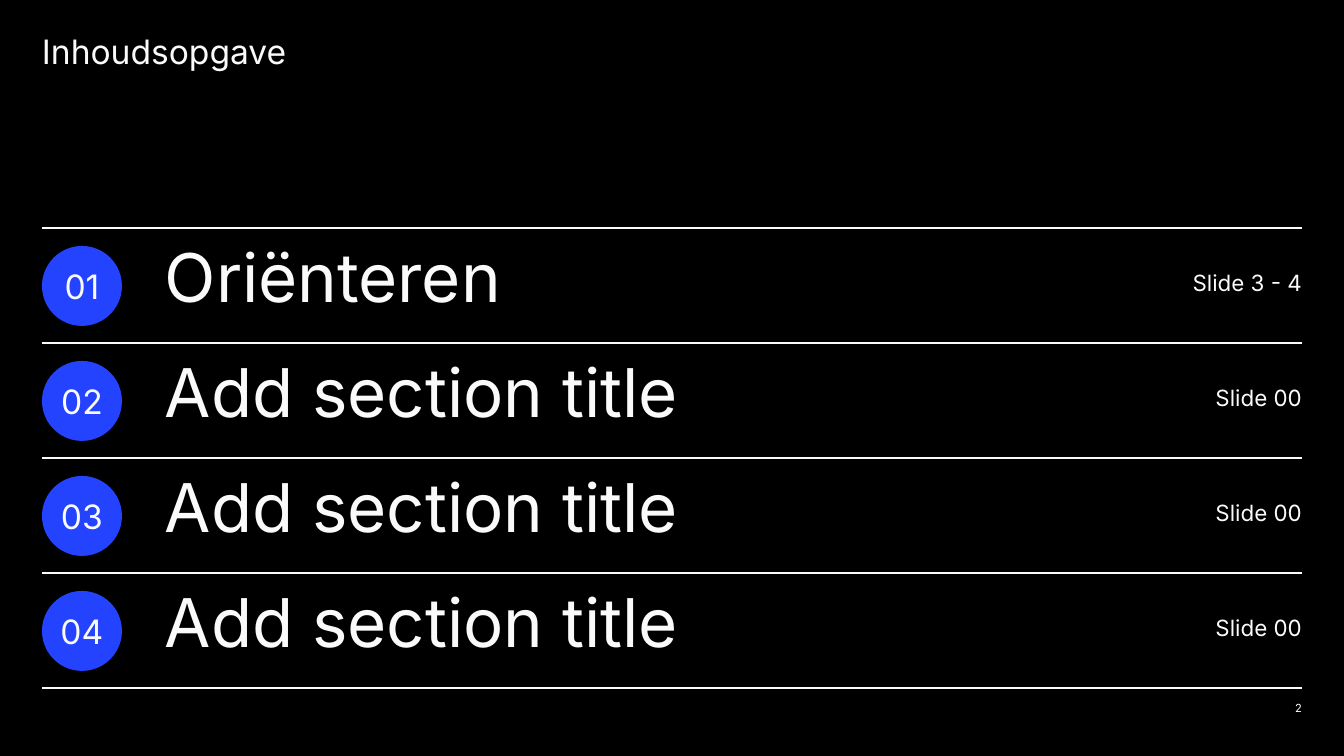
from lxml import etree
from pptx import Presentation, util as u
from pptx.dml.color import RGBColor
from pptx.enum import shapes, text
from pptx.oxml.ns import qn

PX = 9144000 / 1344
COLORS = {"background": "000000", "accent": "2443FF", "light": "FAFAFA"}
LEFT, RIGHT = 42, 1302
FIRST_RULE, ROW_HEIGHT = 228, 115
CIRCLE = 80

SECTIONS = [
    ("Oriënteren", "Slide 3 - 4"),
    ("Add section title", "Slide 00"),
    ("Add section title", "Slide 00"),
    ("Add section title", "Slide 00"),
]


def px(*lengths):
    return [u.Emu(round(length * PX)) for length in lengths]


def write(shape, words, size, align=text.PP_ALIGN.LEFT,
          anchor=text.MSO_ANCHOR.MIDDLE, spacing=None):
    """Fill a shape with one line of light text and no insets."""
    frame = shape.text_frame
    frame.word_wrap = True
    frame.vertical_anchor = anchor
    frame.margin_left = frame.margin_right = 0
    frame.margin_top = frame.margin_bottom = 0
    paragraph = frame.paragraphs[0]
    paragraph.text = words
    paragraph.alignment = align
    paragraph.line_spacing = spacing
    paragraph.font.name = "Inter"
    paragraph.font.size = u.Pt(size)
    paragraph.font.color.rgb = RGBColor.from_string(COLORS["light"])


deck = Presentation()
deck.slide_width, deck.slide_height = px(1344, 756)
slide = deck.slides.add_slide(deck.slide_layouts[6])
slide.background.fill.solid()
slide.background.fill.fore_color.rgb = RGBColor.from_string(COLORS["background"])

heading = slide.shapes.add_textbox(*px(LEFT, 42, 621, 28))
write(heading, "Inhoudsopgave", 18, anchor=text.MSO_ANCHOR.TOP, spacing=0.7)

for index in range(len(SECTIONS) + 1):
    y = FIRST_RULE + index * ROW_HEIGHT
    rule = slide.shapes.add_connector(
        shapes.MSO_CONNECTOR.STRAIGHT, *px(LEFT, y, RIGHT, y))
    rule.line.color.rgb = RGBColor.from_string(COLORS["light"])
    rule.line.width = u.Pt(0.75)
    etree.SubElement(rule._element.spPr, qn("a:effectLst"))

for index, (section, pages) in enumerate(SECTIONS):
    top = FIRST_RULE + index * ROW_HEIGHT
    number = slide.shapes.add_shape(
        shapes.MSO_SHAPE.OVAL, *px(LEFT, top + 18, CIRCLE, CIRCLE))
    number.shadow.inherit = False
    number.fill.solid()
    number.fill.fore_color.rgb = RGBColor.from_string(COLORS["accent"])
    number.line.fill.background()
    write(number, f"{index + 1:02}", 18, text.PP_ALIGN.CENTER)

    section_title = slide.shapes.add_textbox(*px(165, top, 817, ROW_HEIGHT))
    write(section_title, section, 36, spacing=0.7)

    page_range = slide.shapes.add_textbox(*px(RIGHT - 302, top, 302, ROW_HEIGHT))
    write(page_range, pages, 12, text.PP_ALIGN.RIGHT, spacing=0.7)

slide_number = slide.shapes.add_textbox(*px(RIGHT - 80, 703, 80, 11))
write(slide_number, "2", 6, text.PP_ALIGN.RIGHT)

deck.save("out.pptx")
